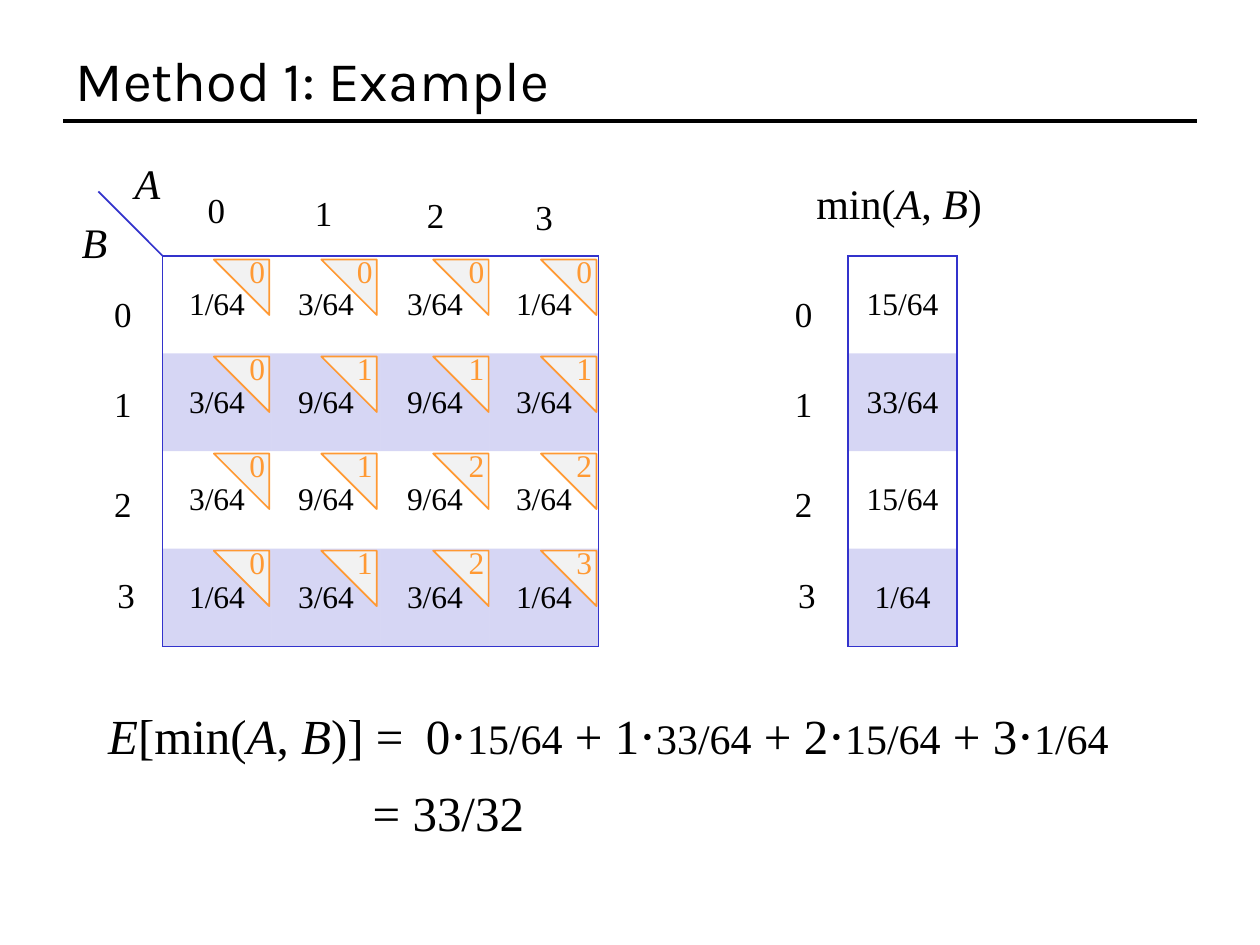
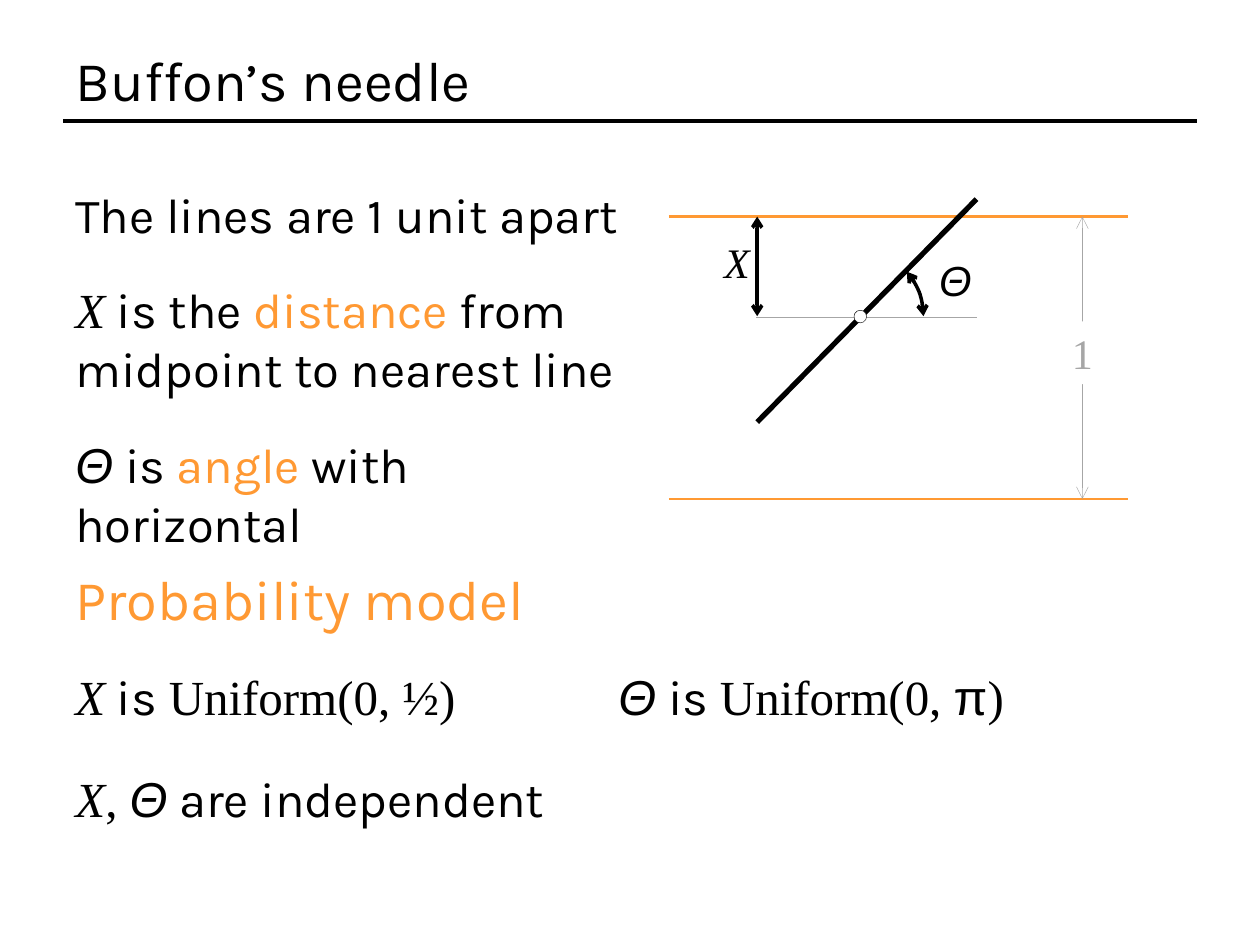
import dataclasses
import itertools

import pptx
import pptx.dml.color
import pptx.enum.shapes
import pptx.enum.text
import pptx.oxml
import pptx.oxml.ns
import pptx.util

Pt = pptx.util.Pt
RGB = pptx.dml.color.RGBColor.from_string
qn = pptx.oxml.ns.qn
SHAPE = pptx.enum.shapes.MSO_SHAPE
ALIGN = pptx.enum.text.PP_ALIGN
NS = pptx.oxml.ns.nsdecls("a")
NO_STYLE_NO_GRID = "{2D5ABB26-0587-4C30-8999-92F81FD0307C}"


@dataclasses.dataclass(frozen=True)
class Theme:
    black: str = "000000"
    white: str = "FFFFFF"
    blue: str = "3333CC"
    orange: str = "FF9933"
    gray: str = "A6A6A6"
    pale: str = "F2F2F2"
    sans: str = "Karla"
    serif: str = "Times New Roman"
    greek: str = "Arial"
    heading: int = 32
    body: int = 28
    symbol: int = 24
    label: int = 20
    cell: int = 18


T = Theme()


@dataclasses.dataclass(frozen=True)
class Run:
    text: str
    size: int = T.body
    font: str = T.serif
    color: str = T.black
    italic: bool = False


def var(text, size=T.body, font=T.serif):
    return Run(text, size, font, italic=True)


def theta(size=T.body):
    return var("Θ", size, T.greek)


def words(text, color=T.black, size=T.body):
    return Run(text, size, T.sans, color)


class Deck:
    def __init__(self):
        self.prs = pptx.Presentation()
        self.prs.slide_width, self.prs.slide_height = Pt(720), Pt(540)
        self.slide = None

    def new_slide(self, title):
        self.slide = self.prs.slides.add_slide(self.prs.slide_layouts[5])
        self.line((36, 69.1), (684, 69.1), T.black, 2)
        sp = self.slide.shapes.title
        sp.left, sp.top, sp.width, sp.height = map(Pt, (36, 21.6, 648, 47.5))
        sp.text_frame.vertical_anchor = pptx.enum.text.MSO_ANCHOR.MIDDLE
        self.add_runs(sp.text_frame, [words(title, size=T.heading)])

    def add_runs(self, tf, runs, align=ALIGN.LEFT):
        p = tf.paragraphs[0]
        p.alignment = align
        for run in runs:
            r = p.add_run()
            r.text = run.text
            r.font.size = Pt(run.size)
            r.font.name = run.font
            r.font.italic = run.italic
            r.font.color.rgb = RGB(run.color)

    def text(self, box, runs, align=ALIGN.LEFT, wrap=False, fill=None):
        sp = self.slide.shapes.add_textbox(*map(Pt, box))
        if fill:
            sp.fill.solid()
            sp.fill.fore_color.rgb = RGB(fill)
        tf = sp.text_frame
        tf.word_wrap = wrap
        tf.auto_size = pptx.enum.text.MSO_AUTO_SIZE.SHAPE_TO_FIT_TEXT
        self.add_runs(tf, runs, align)

    def label(self, left, top, text):
        self.text((left, top, 23.8, 31.5), [Run(text, T.label)], ALIGN.CENTER)

    def stroke(self, sp, color, width, arrows):
        sp.line.color.rgb = RGB(color)
        sp.line.width = Pt(width)
        if arrows:
            ln = sp._element.spPr.find(qn("a:ln"))
            for end in ("headEnd", "tailEnd"):
                ln.append(pptx.oxml.parse_xml(f'<a:{end} {NS} type="arrow"/>'))

    def line(self, start, end, color, width, arrows=False):
        cx = self.slide.shapes.add_connector(
            pptx.enum.shapes.MSO_CONNECTOR.STRAIGHT, *map(Pt, start + end))
        self.stroke(cx, color, width, arrows)
        cx._element.spPr.append(pptx.oxml.parse_xml(f"<a:effectLst {NS}/>"))

    def shape(self, kind, box, fill, color, width, arrows=False):
        sp = self.slide.shapes.add_shape(kind, *map(Pt, box))
        sp.shadow.inherit = False
        if fill:
            sp.fill.solid()
            sp.fill.fore_color.rgb = RGB(fill)
        else:
            sp.fill.background()
        self.stroke(sp, color, width, arrows)
        return sp

    def table(self, left, top, col_width, row_height, rows):
        """Framed table with every second row tinted."""
        n, m = len(rows), len(rows[0])
        table = self.slide.shapes.add_table(
            n, m, Pt(left), Pt(top), Pt(m * col_width), Pt(n * row_height)).table
        table.first_row = table.horz_banding = False
        table._tbl.tblPr.find(qn("a:tableStyleId")).text = NO_STYLE_NO_GRID
        for col in table.columns:
            col.width = Pt(col_width)
        for i, row in enumerate(rows):
            table.rows[i].height = Pt(row_height)
            for j, value in enumerate(row):
                cell = table.cell(i, j)
                cell.vertical_anchor = pptx.enum.text.MSO_ANCHOR.MIDDLE
                self.add_runs(cell.text_frame, [Run(value, T.cell)], ALIGN.CENTER)
                sides = {"L": j == 0, "R": j == m - 1, "T": i == 0, "B": i == n - 1}
                self.frame_cell(cell, [s for s, outer in sides.items() if outer])
                if i % 2:
                    self.tint(cell)
                else:
                    cell.fill.background()

    def frame_cell(self, cell, sides):
        tcPr = cell._tc.get_or_add_tcPr()
        for side in sides:
            tcPr.append(pptx.oxml.parse_xml(
                f'<a:ln{side} {NS} w="12700"><a:solidFill>'
                f'<a:srgbClr val="{T.blue}"/></a:solidFill></a:ln{side}>'))

    def tint(self, cell):
        cell.fill.solid()
        cell.fill.fore_color.rgb = RGB(T.blue)
        color = cell._tc.tcPr.find(qn("a:solidFill"))[0]
        color.append(pptx.oxml.parse_xml(f'<a:alpha {NS} val="20000"/>'))


def method_example(deck):
    deck.new_slide("Method 1: Example")
    table_top, col_width, row_height = 146.2, 62.3, 55.8
    weights = (1, 3, 3, 1)
    joint = [[f"{a * b}/64" for a in weights] for b in weights]
    minimum = ["15/64", "33/64", "15/64", "1/64"]

    deck.table(92.9, table_top, col_width, row_height, joint)
    deck.line((92.9, table_top), (56.2, 109.4), T.blue, 1)
    for a, (left, top) in enumerate([(111.6, 104.4), (172.8, 105.8),
                                     (236.9, 107.3), (298.8, 108)]):
        deck.label(left, top, str(a))
    deck.text((69.8, 86.4, 39.6, 36), [var("A", T.symbol)])
    deck.text((39.6, 120.2, 33.8, 36), [var("B", T.symbol)])

    for b, a in itertools.product(range(4), range(4)):
        left, top = (122.2, 183.6, 247.5, 309.1)[a], 148.3 + 55.45 * b
        sp = deck.shape(SHAPE.RIGHT_TRIANGLE, (left, top, 31.7, 31.7),
                        T.pale, T.orange, 1)
        sp.rotation = 180
        deck.text((left + 13.2, top - 7.8, 23, 28.8),
                  [Run(str(min(a, b)), T.cell, color=T.orange)], ALIGN.CENTER)

    deck.table(484.6, table_top, col_width, row_height, [[v] for v in minimum])
    deck.text((459.4, 97.9, 113, 36), [
        Run("min(", T.symbol), var("A", T.symbol), Run(",", T.symbol),
        var(" B", T.symbol), Run(")", T.symbol)])
    for left in (58.2, 447.2):
        for k, (shift, top) in enumerate([(0, 163.4), (0, 215.3),
                                          (0, 272.2), (1.8, 324)]):
            deck.label(left + shift, top, str(k))

    deck.text((54.7, 399.6, 186.5, 41), [
        var("E"), Run("[min("), var("A"), Run(", "), var("B"), Run(")] =")])
    terms = []
    for k, value in enumerate(minimum):
        terms += [Run(f" + {k}⋅" if k else "0⋅"), Run(value, T.symbol)]
    deck.text((236.2, 399.6, 440.6, 41), terms)
    deck.text((205.9, 443.5, 107.3, 41), [Run("= 33/32")])


def buffons_needle(deck):
    deck.new_slide("Buffon’s needle")
    upper, lower, middle = 123.8, 285.1, 181.2
    for y in (upper, lower):
        deck.line((382.3, y), (644.4, y), T.orange, 1.5)
    deck.line((618.5, upper), (618.5, lower), T.gray, 0.25, arrows=True)
    deck.text((605.5, 183.6, 25.9, 36), [Run("1", T.symbol, color=T.gray)],
              fill=T.white)

    deck.line((432.7, 241.2), (558, 113.8), T.black, 3)
    deck.line((558, middle), (432, middle), T.gray, 0.25)
    deck.shape(SHAPE.OVAL, (488, 177.3, 7.2, 7.2), T.white, T.black, 0.25)
    deck.line((432.7, upper), (432.7, 180.7), T.black, 2, arrows=True)
    deck.text((397.4, 131.8, 38.2, 36), [var("X", T.symbol)], ALIGN.RIGHT)

    arc = deck.shape(SHAPE.ARC, (447.8, 141.1, 79.9, 79.9), None, T.black, 2,
                     arrows=True)
    for i, degrees in enumerate((319.75, 359.5)):
        arc.adjustments[i] = degrees * 60000 / 100000
    deck.text((520.6, 141.8, 41.8, 36), [theta(T.symbol)], ALIGN.RIGHT)

    left, width, one_line, two_lines = 36, 326.2, 41, 74.9
    deck.text((left, 319, 293.8, 46.1),
              [words("Probability model", T.orange, T.heading)], wrap=True)
    statements = [
        (left, 102.2, one_line, [words("The lines are 1 unit apart")]),
        (left, 156.2, two_lines, [
            var("X"), words(" is the "), words("distance", T.orange),
            words(" from midpoint to nearest line")]),
        (left, 244.8, one_line, [
            theta(), words(" is "), words("angle", T.orange),
            words(" with horizontal")]),
        (left, 377.3, one_line, [var("X"), words(" is "), Run("Uniform(0, ½)")]),
        (346.3, 377.3, one_line, [
            theta(), words(" is "), Run("Uniform(0, "),
            Run("π", font=T.greek), Run(")")]),
        (left, 435.6, one_line, [
            var("X"), Run(", "), theta(), words(" are independent")]),
    ]
    for x, y, height, runs in statements:
        deck.text((x, y, width, height), runs, wrap=True)


def main():
    deck = Deck()
    method_example(deck)
    buffons_needle(deck)
    deck.prs.save("out.pptx")


if __name__ == "__main__":
    main()
